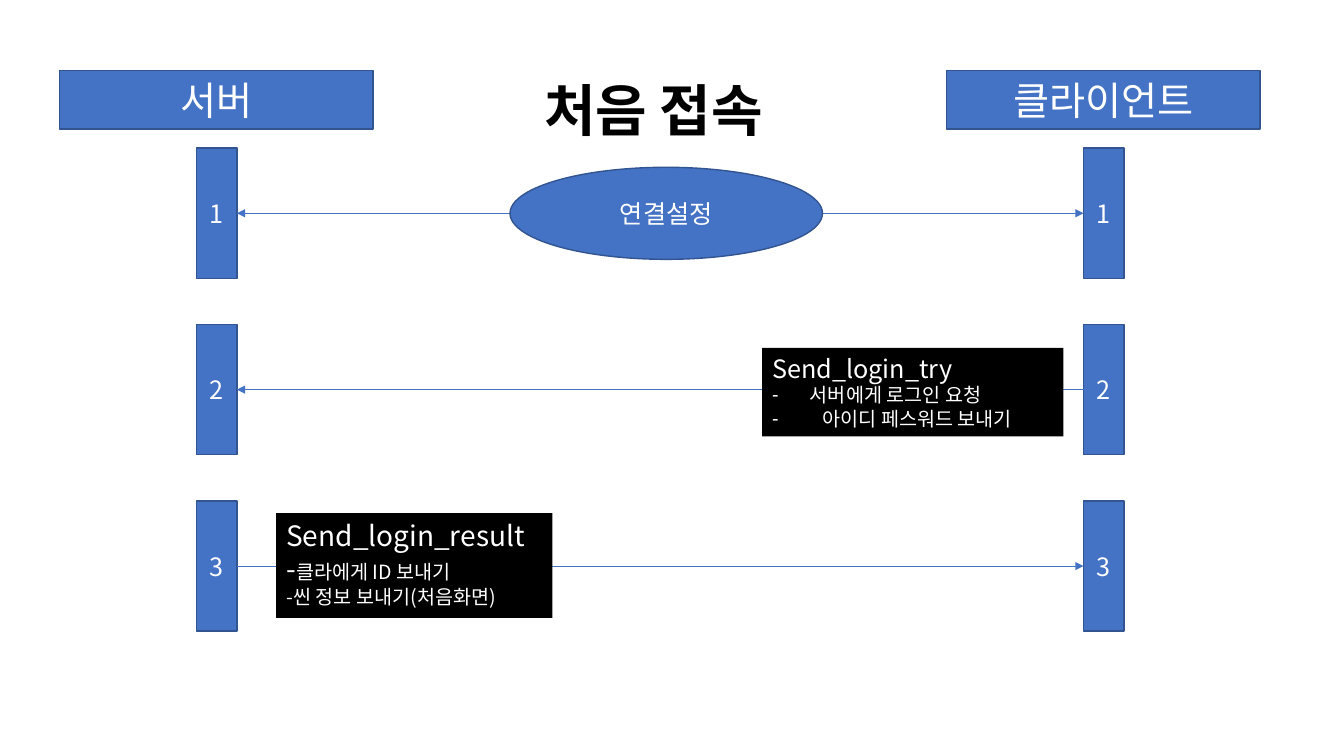
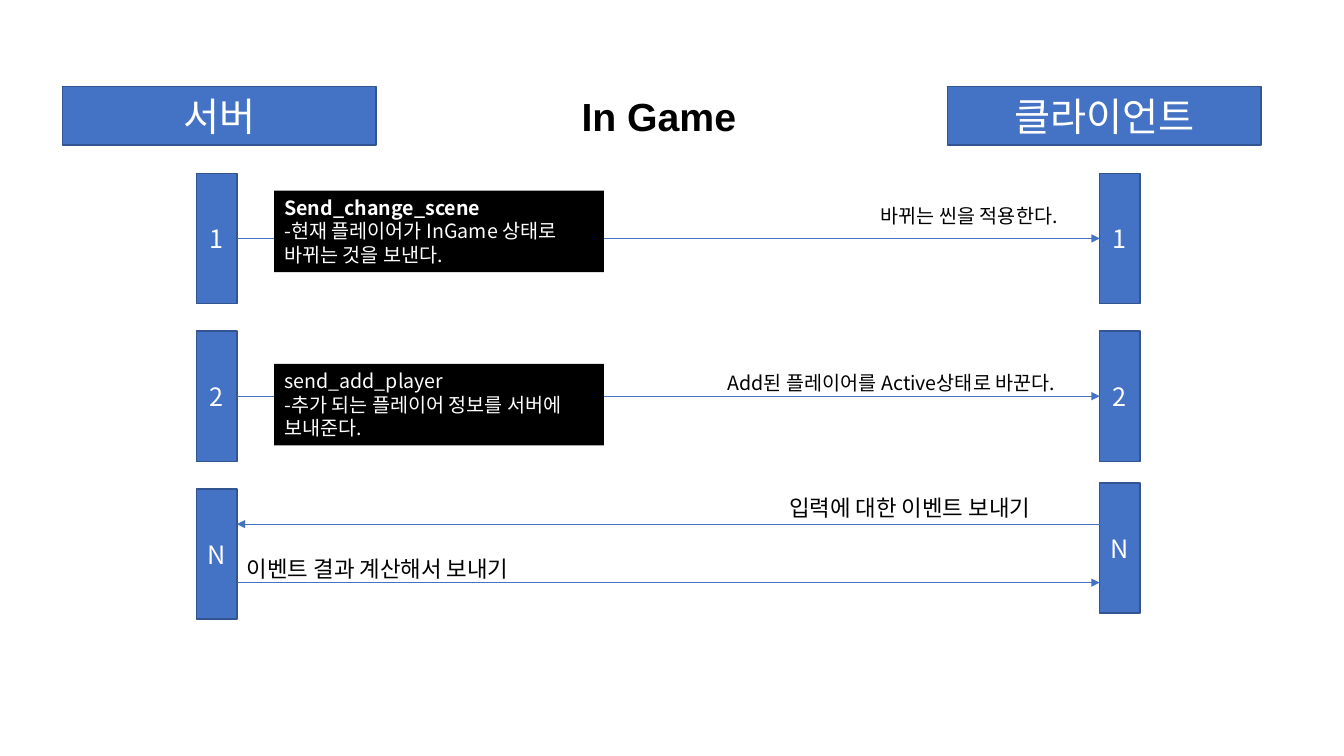
from dataclasses import dataclass
from typing import NamedTuple

from lxml.etree import SubElement
from pptx import Presentation
from pptx.dml.color import RGBColor
from pptx.enum.shapes import MSO_CONNECTOR as Link, MSO_SHAPE as Preset
from pptx.enum.text import MSO_ANCHOR as Anchor, MSO_AUTO_SIZE as Fit, PP_ALIGN as Align
from pptx.oxml.ns import qn
from pptx.util import Inches, Pt

COLUMNS, ROWS = 80, 45
WIDTH, HEIGHT = Inches(13.33), Inches(7.5)
BLUE, EDGE, BLACK, WHITE = "4472C4", "325491", "000000", "FFFFFF"
SANS, TITLE_FONT = "Noto Sans CJK KR", "Arial"
HEADER_WIDTH, HEADER_HEIGHT = 18.66, 3.48
STEP_WIDTH, STEP_HEIGHT = 2.4, 7.75
SERVER_X = 11.7
NOTE_LAYOUT = 3


class Area(NamedTuple):
    left: float
    top: float
    width: float
    height: float


@dataclass(frozen=True)
class Span:
    text: str
    size: float
    bold: bool = False
    new_line: bool = False


@dataclass(frozen=True)
class Para:
    spans: tuple[Span, ...]
    hang: float = 0


@dataclass(frozen=True)
class Block:
    area: Area
    paras: tuple[Para, ...]


@dataclass(frozen=True)
class Arrow:
    row: float
    to_server: bool = False
    to_client: bool = False


@dataclass(frozen=True)
class Scene:
    title: Block
    headers: tuple[Area, Area]
    client_x: float
    step_names: str
    server_tops: tuple[float, ...]
    client_tops: tuple[float, ...]
    arrows: tuple[Arrow, ...]
    notes: tuple[Block, Block]
    labels: tuple[Block, ...] = ()
    ovals: tuple[Block, ...] = ()


def across(columns: float) -> int:
    return round(WIDTH * columns / COLUMNS)


def down(rows: float) -> int:
    return round(HEIGHT * rows / ROWS)


def color(code: str) -> RGBColor:
    return RGBColor.from_string(code)


def line_of(text: str, size: float, bold: bool = False, hang: float = 0) -> Para:
    return Para((Span(text, size, bold),), hang)


def emu(area: Area) -> tuple[int, int, int, int]:
    return across(area.left), down(area.top), across(area.width), down(area.height)


def place(box, area: Area) -> None:
    box.left, box.top, box.width, box.height = emu(area)


def write(box, paras: tuple[Para, ...], code: str, font: str = SANS, centered: bool = False) -> None:
    frame = box.text_frame
    frame.word_wrap = True
    frame.auto_size = Fit.NONE
    frame.vertical_anchor = Anchor.MIDDLE if centered else Anchor.TOP
    for index, item in enumerate(paras):
        para = frame.add_paragraph() if index else frame.paragraphs[0]
        para.alignment = Align.CENTER if centered else Align.LEFT
        para.space_before = Pt(0)
        for part in item.spans:
            if part.new_line:
                para.add_line_break()
            span = para.add_run()
            span.text = part.text
            span.font.name = font
            span.font.size = Pt(part.size)
            span.font.bold = part.bold
            span.font.color.rgb = color(code)
    for item, props in zip(paras, box.element.iter(qn("a:pPr"))):
        props.set("marL", str(across(item.hang)))
        props.set("indent", str(-across(item.hang)))
        if item.hang:
            SubElement(props, qn("a:buChar")).set("char", "-")
        else:
            SubElement(props, qn("a:buNone"))
    for latin in list(box.element.iter(qn("a:latin"))):
        SubElement(latin.getparent(), qn("a:ea")).set("typeface", SANS)


def draw_shape(page, preset: Preset, block: Block) -> None:
    box = page.shapes.add_shape(preset, *emu(block.area))
    box.shadow.inherit = False
    box.fill.solid()
    box.fill.fore_color.rgb = color(BLUE)
    box.line.color.rgb = color(EDGE)
    box.line.width = Pt(1)
    write(box, block.paras, WHITE, centered=True)


def draw_arrow(page, arrow: Arrow, client_x: float) -> None:
    row = down(arrow.row)
    link = page.shapes.add_connector(
        Link.STRAIGHT, across(SERVER_X + STEP_WIDTH), row, across(client_x), row)
    link.line.color.rgb = color(BLUE)
    link.line.width = Pt(0.5)
    props = link.element.find(qn("p:spPr"))
    stroke = props.find(qn("a:ln"))
    for tag, shown in (("a:headEnd", arrow.to_server), ("a:tailEnd", arrow.to_client)):
        if shown:
            SubElement(stroke, qn(tag)).set("type", "triangle")
    SubElement(props, qn("a:effectLst"))


def draw_note(page, box, note: Block) -> None:
    place(box, note.area)
    box.fill.solid()
    box.fill.fore_color.rgb = color(BLACK)
    write(box, note.paras, WHITE)
    page.shapes.element.append(box.element)


def draw_label(page, label: Block) -> None:
    box = page.shapes.add_textbox(*emu(label.area))
    write(box, label.paras, BLACK)


def draw_scene(deck, scene: Scene) -> None:
    page = deck.slides.add_slide(deck.slide_layouts[NOTE_LAYOUT])
    title, *note_boxes = page.placeholders
    place(title, scene.title.area)
    write(title, scene.title.paras, BLACK, TITLE_FONT)
    for name, area in zip(("서버", "클라이언트"), scene.headers):
        draw_shape(page, Preset.RECTANGLE, Block(area, (line_of(name, 28),)))
    for left, tops in ((SERVER_X, scene.server_tops), (scene.client_x, scene.client_tops)):
        for name, top in zip(scene.step_names, tops):
            area = Area(left, top, STEP_WIDTH, STEP_HEIGHT)
            draw_shape(page, Preset.RECTANGLE, Block(area, (line_of(name, 18),)))
    for arrow in scene.arrows:
        draw_arrow(page, arrow, scene.client_x)
    for oval in scene.ovals:
        draw_shape(page, Preset.OVAL, oval)
    for box, note in zip(note_boxes, scene.notes):
        draw_note(page, box, note)
    for label in scene.labels:
        draw_label(page, label)


def header(left: float, top: float) -> Area:
    return Area(left, top, HEADER_WIDTH, HEADER_HEIGHT)


def tops_from(first: float, pitch: float) -> tuple[float, ...]:
    return tuple(first + pitch * index for index in range(3))


def middle(top: float) -> float:
    return top + STEP_HEIGHT / 2


login_tops = tops_from(8.82, 10.5)
game_tops = tops_from(10.32, 9.39)

first_login = Scene(
    title=Block(Area(31.8, 4.2, 16.4, 4.6), (line_of("처음 접속", 40, True),)),
    headers=(header(3.54, 4.2), header(56.34, 4.2)),
    client_x=64.5,
    step_names="123",
    server_tops=login_tops,
    client_tops=login_tops,
    arrows=(
        Arrow(middle(login_tops[0]), to_server=True, to_client=True),
        Arrow(middle(login_tops[1]), to_server=True),
        Arrow(middle(login_tops[2]), to_client=True),
    ),
    ovals=(Block(Area(30.36, 9.96, 18.6, 5.48), (line_of("연결설정", 18),)),),
    notes=(
        Block(Area(45.36, 20.7, 17.94, 5.28), (
            line_of("Send_login_try", 18),
            line_of("서버에게 로그인 요청", 14, hang=2.25),
            line_of("아이디 페스워드 보내기", 14, hang=3),
        )),
        Block(Area(16.44, 30.54, 16.44, 6.24), (
            line_of("Send_login_result", 20),
            Para((
                Span("-", 20),
                Span("클라에게 ID 보내기", 14),
                Span("-씬 정보 보내기(처음화면)", 14, new_line=True),
            )),
        )),
    ),
)

in_game = Scene(
    title=Block(Area(34.02, 5.22, 12.36, 3.42), (line_of("In Game", 28, True),)),
    headers=(header(3.72, 5.16), header(56.4, 5.16)),
    client_x=65.46,
    step_names="12N",
    server_tops=game_tops,
    client_tops=(*game_tops[:2], 28.74),
    arrows=(
        Arrow(middle(game_tops[0]), to_client=True),
        Arrow(middle(game_tops[1]), to_client=True),
        Arrow(31.2, to_server=True),
        Arrow(34.68, to_client=True),
    ),
    notes=(
        Block(Area(16.32, 11.34, 19.62, 4.86), (
            line_of("Send_change_scene", 14, True),
            line_of("-현재 플레이어가 InGame 상태로 바뀌는 것을 보낸다.", 14),
        )),
        Block(Area(16.32, 21.66, 19.62, 4.86), (
            line_of("send_add_player", 14),
            line_of("-추가 되는 플레이어 정보를 서버에 보내준다.", 14),
        )),
    ),
    labels=(
        Block(Area(51.84, 11.82, 13.86, 2.04), (line_of("바뀌는 씬을 적용한다.", 14),)),
        Block(Area(42.72, 21.78, 22.68, 2.04),
              (line_of("Add된 플레이어를 Active상태로 바꾼다.", 14),)),
        Block(Area(46.38, 29.1, 22.68, 2.22), (line_of("입력에 대한 이벤트 보내기", 16),)),
        Block(Area(14.1, 32.76, 22.68, 2.22), (line_of("이벤트 결과 계산해서 보내기", 16),)),
    ),
)

deck = Presentation()
deck.slide_width, deck.slide_height = WIDTH, HEIGHT
for scene in (first_login, in_game):
    draw_scene(deck, scene)
deck.save("out.pptx")
